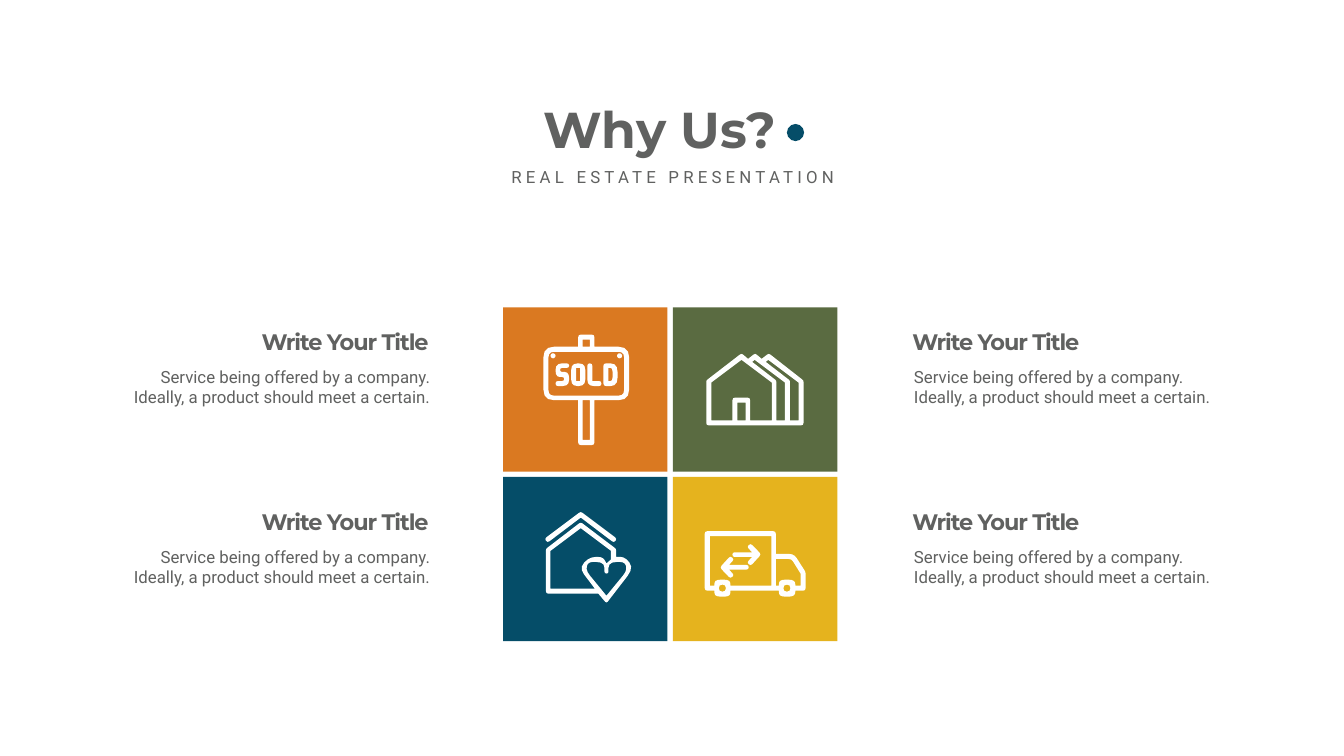
from math import dist

from pptx import Presentation
from pptx import util as u
from pptx.dml.color import RGBColor
from pptx.enum import shapes, text

COLORS = {
    "orange": "DA7921",
    "green": "5A6B41",
    "blue": "054D68",
    "yellow": "E5B31E",
    "gray": "606160",
    "white": "FFFFFF",
}
TILE_SIDE = 3.26
SERVICE_TITLE = "Write Your Title"
SERVICE_BODY = "Service being offered by a company. Ideally, a product should meet a certain."


def paint(shape, color):
    shape.shadow.inherit = False
    shape.fill.solid()
    shape.fill.fore_color.rgb = RGBColor.from_string(COLORS[color])
    shape.line.fill.background()


def add_preset(page, kind, left, top, width, height, color):
    shape = page.shapes.add_shape(
        kind, u.Inches(left), u.Inches(top), u.Inches(width), u.Inches(height))
    paint(shape, color)


def add_text(page, words, left, top, width, height, *, size, font,
             align=text.PP_ALIGN.LEFT, bold=False, spacing=0, inset=(0.1, 0.05)):
    box = page.shapes.add_textbox(
        u.Inches(left), u.Inches(top), u.Inches(width), u.Inches(height))
    frame = box.text_frame
    frame.word_wrap = True
    frame.margin_left = frame.margin_right = u.Inches(inset[0])
    frame.margin_top = frame.margin_bottom = u.Inches(inset[1])
    para = frame.paragraphs[0]
    para.alignment = align
    span = para.add_run()
    span.text = words
    span.font.size = u.Pt(size)
    span.font.name = font
    span.font.bold = bold
    span.font.color.rgb = RGBColor.from_string(COLORS["gray"])
    if spacing:
        span.font._element.set("spc", str(round(spacing * 100)))


def toward(start, end, reach):
    share = min(reach / dist(start, end), 0.5)
    return tuple(a + (b - a) * share for a, b in zip(start, end))


def round_corners(corners):
    points = []
    for index, (x, y, *radius) in enumerate(corners):
        if not radius:
            points.append((x, y))
            continue
        before = corners[index - 1][:2]
        after = corners[(index + 1) % len(corners)][:2]
        first = toward((x, y), before, radius[0])
        last = toward((x, y), after, radius[0])
        steps = 2 if radius[0] < 0.1 else 3
        for step in range(steps + 1):
            t = step / steps
            points.append(tuple(
                (1 - t) ** 2 * a + 2 * t * (1 - t) * b + t * t * c
                for a, b, c in zip(first, (x, y), last)))
    return points


def panel(left, top, right, bottom, radius=0.0):
    corners = [(left, top), (right, top), (right, bottom), (left, bottom)]
    return [(x, y, radius) if radius else (x, y) for x, y in corners]


def add_outline(page, left, top, *contours):
    builder = None
    for contour in contours:
        points = [(u.Inches(x), u.Inches(y)) for x, y in round_corners(contour)]
        if builder is None:
            builder = page.shapes.build_freeform(*points[0], scale=1.0)
        else:
            builder.move_to(*points[0])
        builder.add_line_segments(points[1:], close=True)
    paint(builder.convert_to_shape(u.Inches(left), u.Inches(top)), "white")


def draw_sold_sign(page, left, top):
    sign = [(1.49, 0.54, 0.05), (1.81, 0.54, 0.05), (1.81, 0.78), (2.5, 0.78, 0.21),
            (2.5, 1.84, 0.21), (1.81, 1.84), (1.81, 2.73, 0.05), (1.49, 2.73, 0.05),
            (1.49, 1.84), (0.8, 1.84, 0.21), (0.8, 0.78, 0.21), (1.49, 0.78)]
    add_outline(page, left, top, sign, panel(1.58, 0.64, 1.72, 0.78),
                panel(0.9, 0.88, 2.4, 1.75, 0.11), panel(1.58, 1.84, 1.72, 2.63))
    for nail in (0.94, 2.26):
        add_preset(page, shapes.MSO_SHAPE.OVAL, left + nail, top + 0.91, 0.1, 0.1, "white")
    letter_s = [(1.04, 1.11, 0.13), (1.31, 1.11, 0.05), (1.31, 1.2, 0.05), (1.13, 1.2, 0.04),
                (1.13, 1.28, 0.04), (1.31, 1.28, 0.13), (1.31, 1.56, 0.13),
                (1.04, 1.56, 0.05), (1.04, 1.46, 0.05), (1.21, 1.46, 0.04),
                (1.21, 1.38, 0.04), (1.04, 1.38, 0.13)]
    letter_l = [(1.67, 1.11, 0.05), (1.77, 1.11, 0.05), (1.77, 1.46),
                (1.95, 1.46, 0.05), (1.95, 1.56, 0.05), (1.67, 1.56, 0.13)]
    letter_d = [(1.99, 1.11, 0.05), (2.27, 1.11, 0.17), (2.27, 1.56, 0.17), (1.99, 1.56, 0.05)]
    bowl = [(2.09, 1.2), (2.17, 1.2, 0.07), (2.17, 1.46, 0.07), (2.09, 1.46)]
    add_outline(page, left, top, letter_s)
    add_outline(page, left, top, panel(1.35, 1.11, 1.63, 1.56, 0.13),
                panel(1.45, 1.2, 1.53, 1.46))
    add_outline(page, left, top, letter_l)
    add_outline(page, left, top, letter_d, bowl)


def draw_houses(page, left, top):
    walls = [(0.66, 1.45, 0.03), (1.36, 0.91, 0.04), (1.49, 1.02), (1.63, 0.91, 0.04),
             (1.76, 1.02), (1.9, 0.91, 0.04), (2.59, 1.45, 0.03),
             (2.59, 2.34, 0.05), (0.66, 2.34, 0.05)]
    front = [(0.76, 2.24), (0.76, 1.49), (1.36, 1.04), (1.96, 1.49), (1.96, 2.24),
             (1.53, 2.24), (1.53, 1.79, 0.05), (1.18, 1.79, 0.05), (1.18, 2.24)]
    side = [(2.05, 2.24), (2.05, 1.45, 0.03), (1.57, 1.08), (1.62, 1.04),
            (2.22, 1.49), (2.22, 2.24)]
    far_side = [(x + 0.27, *rest) for x, *rest in side]
    add_outline(page, left, top, walls, front, panel(1.28, 1.89, 1.44, 2.24), side, far_side)


def draw_loved_home(page, left, top):
    roof = [(1.54, 0.69, 0.04), (2.26, 1.23, 0.05), (2.2, 1.31, 0.05),
            (1.54, 0.81), (0.88, 1.31, 0.05), (0.82, 1.23, 0.05)]
    home = [(0.85, 1.43, 0.03), (1.54, 0.9, 0.04), (2.24, 1.43, 0.03), (2.24, 1.59),
            (2.42, 1.59, 0.15), (2.59, 1.81, 0.2), (2.05, 2.51, 0.04),
            (1.89, 2.32), (0.85, 2.32, 0.05)]
    room = [(0.94, 1.47), (1.54, 1.02), (2.14, 1.47), (2.14, 1.64), (2.05, 1.72),
            (1.98, 1.59, 0.1), (1.71, 1.59, 0.15), (1.51, 1.81, 0.15),
            (1.82, 2.22), (0.94, 2.22)]
    half_heart = [(1.64, 1.86, 0.13), (1.68, 1.69, 0.1), (2.01, 1.69, 0.18), (2.01, 1.92, 0.04)]
    mirrored = [(4.1 - x, y, radius) for x, y, radius in reversed(half_heart)]
    add_outline(page, left, top, roof)
    add_outline(page, left, top, home, room, [(2.05, 2.36), *half_heart, *mirrored])


def draw_truck(page, left, top):
    body = [(0.63, 1.08, 0.05), (2.04, 1.08, 0.05), (2.04, 1.53), (2.4, 1.53, 0.1),
            (2.63, 1.89, 0.03), (2.63, 2.26, 0.05), (2.43, 2.26), (2.41, 2.38, 0.14),
            (2.11, 2.38, 0.14), (2.1, 2.26), (1.14, 2.26), (1.13, 2.38, 0.14),
            (0.83, 2.38, 0.14), (0.82, 2.26), (0.63, 2.26, 0.05)]
    cab = [(2.53, 2.16), (2.43, 2.16), (2.41, 2.04, 0.14), (2.11, 2.04, 0.14), (2.1, 2.16),
           (2.04, 2.16), (2.04, 1.63), (2.35, 1.63, 0.06), (2.53, 1.92)]
    cargo = [(0.73, 1.18), (1.95, 1.18), (1.95, 2.16), (1.14, 2.16),
             (1.13, 2.04, 0.14), (0.83, 2.04, 0.14), (0.82, 2.16), (0.73, 2.16)]
    hubs = [panel(x, 2.14, x + 0.14, 2.28, 0.07) for x in (0.91, 2.19)]
    arrow = [(1.18, 1.59, 0.04), (1.18, 1.5, 0.04), (1.57, 1.5), (1.47, 1.39, 0.04),
             (1.54, 1.32, 0.05), (1.75, 1.54, 0.05), (1.54, 1.77, 0.05),
             (1.47, 1.7, 0.04), (1.57, 1.59)]
    turned = [(2.68 - x, 3.34 - y, *radius) for x, y, *radius in arrow]
    add_outline(page, left, top, body, cab, cargo, *hubs)
    add_outline(page, left, top, arrow)
    add_outline(page, left, top, turned)


def draw_tiles(page, left, top):
    tiles = [("orange", draw_sold_sign), ("green", draw_houses),
             ("blue", draw_loved_home), ("yellow", draw_truck)]
    for index, (color, draw_icon) in enumerate(tiles):
        row, column = divmod(index, 2)
        x, y = left + column * 3.37, top + row * 3.36
        add_preset(page, shapes.MSO_SHAPE.RECTANGLE, x, y, TILE_SIDE, TILE_SIDE, color)
        draw_icon(page, x, y)


def draw_service(page, title_left, body_left, top, body_width, align):
    add_text(page, SERVICE_TITLE, title_left, top, 4.59, 0.81, size=32,
             font="Montserrat", bold=True, spacing=-1.5, align=align)
    add_text(page, SERVICE_BODY, body_left, top + 0.69, body_width, 1.05, size=24,
             font="Roboto", align=align, inset=(0.24, 0.12))


def draw_heading(page, left, top):
    center = text.PP_ALIGN.CENTER
    add_text(page, "Why Us?", left + 0.81, top, 4.87, 1.31, size=72,
             font="Montserrat", bold=True, align=center)
    add_text(page, "REAL ESTATE PRESENTATION", left, top + 1.35, 7.01, 0.5, size=24,
             font="Roboto", spacing=6, align=center)
    add_preset(page, shapes.MSO_SHAPE.OVAL, left + 5.77, top + 0.56, 0.34, 0.34, "blue")


def main():
    deck = Presentation()
    deck.slide_width, deck.slide_height = u.Inches(26.66), u.Inches(15)
    page = deck.slides.add_slide(deck.slide_layouts[6])
    draw_tiles(page, 9.98, 6.1)
    for top in (6.47, 10.04):
        draw_service(page, 18, 17.89, top, 6.43, text.PP_ALIGN.LEFT)
        draw_service(page, 4.01, 2.36, top, 6.41, text.PP_ALIGN.RIGHT)
    draw_heading(page, 9.84, 1.9)
    deck.save("out.pptx")


if __name__ == "__main__":
    main()
